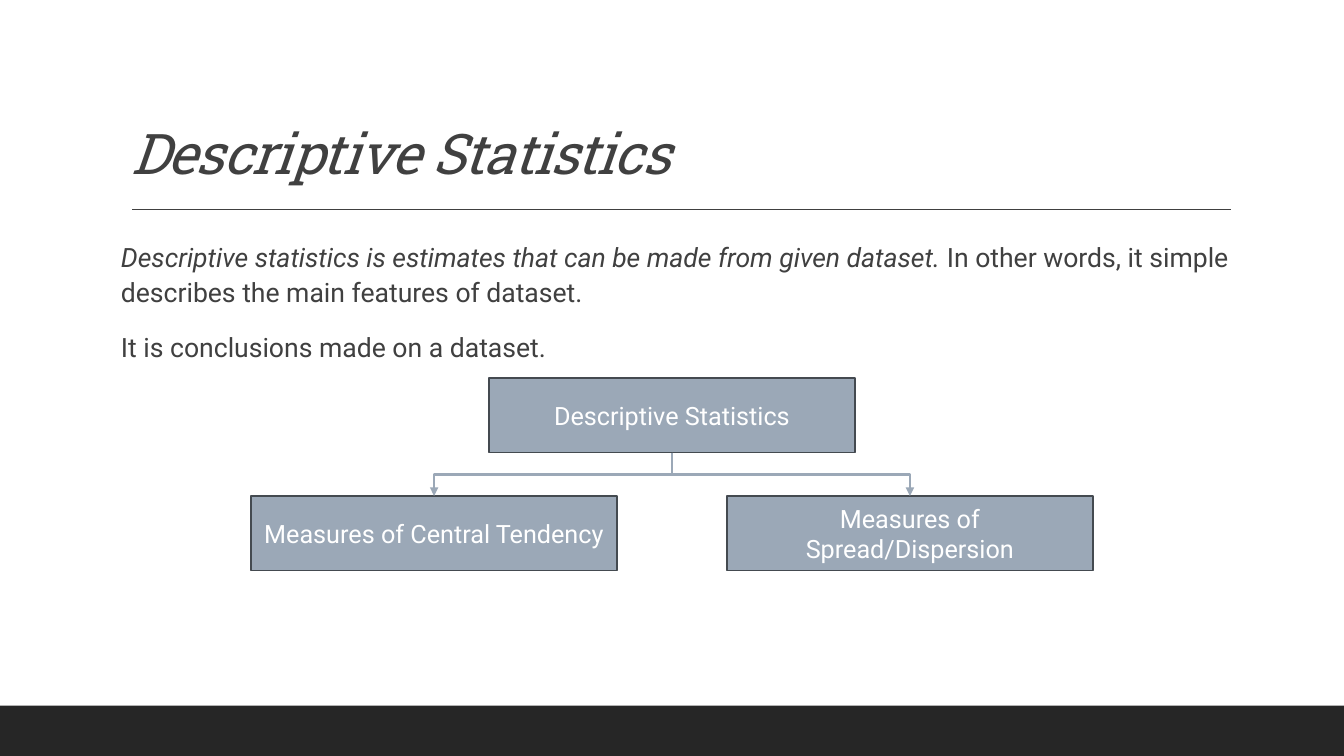
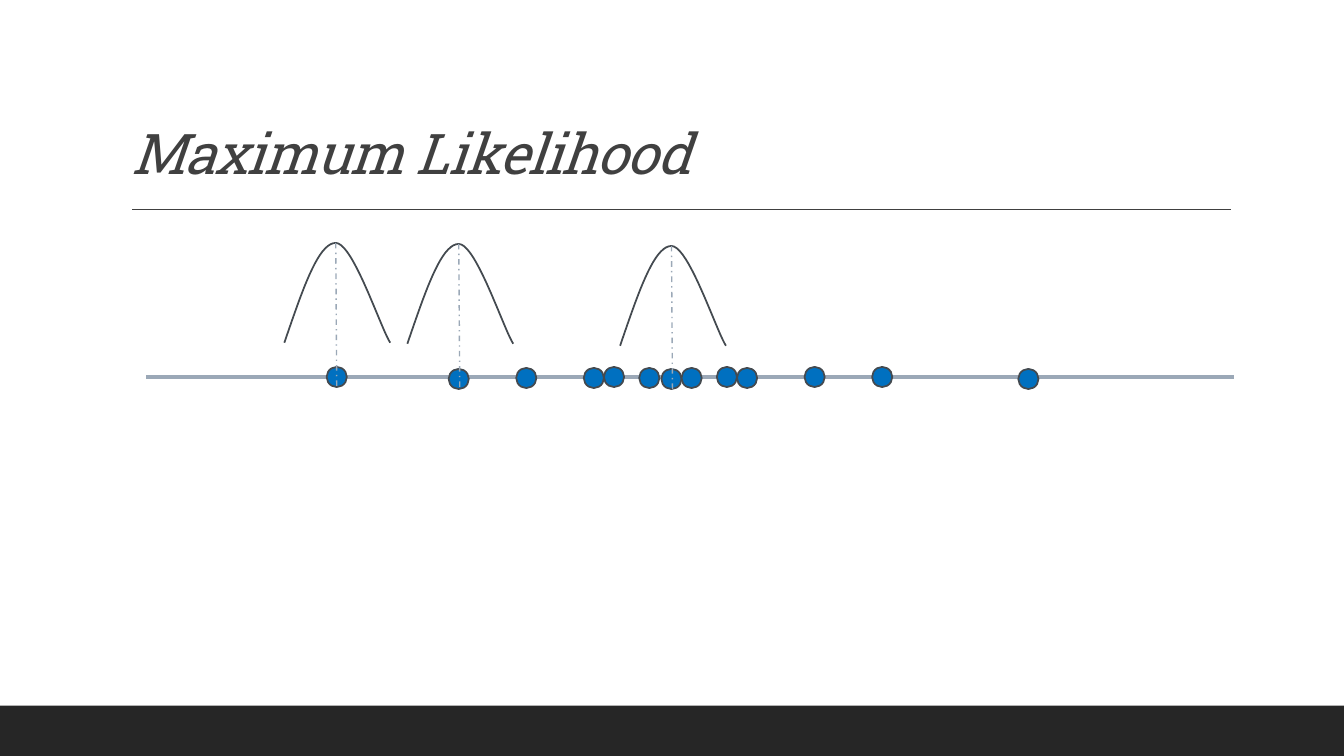
from pptx import Presentation
from pptx.dml.color import RGBColor
from pptx.enum.dml import MSO_LINE
from pptx.enum.shapes import MSO_CONNECTOR, MSO_SHAPE
from pptx.enum.text import MSO_ANCHOR, MSO_AUTO_SIZE, PP_ALIGN
from pptx.oxml.ns import qn
from pptx.util import Inches, Pt
from lxml.etree import SubElement

BAND = RGBColor(0x26, 0x26, 0x26)
DARK = RGBColor(0x40, 0x40, 0x40)
STEEL = RGBColor(0x9B, 0xA8, 0xB7)
OUTLINE = RGBColor(0x44, 0x4A, 0x50)
BLUE = RGBColor(0x00, 0x70, 0xC0)
WHITE = RGBColor(0xFF, 0xFF, 0xFF)
TITLE_FONT, BODY_FONT = "Roboto Slab", "Roboto"
WIDTH, HEIGHT = 13.33, 7.5

PARAGRAPHS = [
    [("Descriptive statistics is estimates that can be made from given dataset. ", True),
     ("In other words, it simple describes the main features of dataset.", False)],
    [("It is conclusions made on a dataset.", False)],
]
ROOT = "Descriptive Statistics"
BRANCHES = ["Measures of Central Tendency", "Measures of Spread/Dispersion"]
BOX_WIDTH, BOX_HEIGHT = 3.63, 0.74
ROOT_TOP, BRANCH_TOP, BRANCH_STEP = 3.75, 4.92, 4.72

DOT_SIZE = 0.2
DOTS = [(6.56, 3.66), (6.76, 3.65), (6.34, 3.65), (7.11, 3.64), (7.31, 3.65),
        (5.79, 3.65), (5.99, 3.64), (7.98, 3.64), (5.12, 3.65), (4.45, 3.66),
        (8.65, 3.64), (3.24, 3.64), (10.1, 3.66)]
CURVES = [(2.82, 2.41), (4.04, 2.42), (6.15, 2.44)]
BELL = [[(0, 0.99), (0.17, 0.5), (0.33, 0), (0.51, 0)],
        [(0.51, 0), (0.68, 0), (0.95, 0.83), (1.05, 0.99)]]
BELL_STEPS = 20
PEAK, MEAN_LENGTH = 0.51, 1.44


def place(shape, left, top, width, height):
    shape.left, shape.top = Inches(left), Inches(top)
    shape.width, shape.height = Inches(width), Inches(height)


def style_span(span, font, size, color, italic=False):
    span.font.name, span.font.size = font, Pt(size)
    span.font.color.rgb, span.font.italic = color, italic


def add_filled(page, kind, left, top, width, height, fill, line=None):
    shape = page.shapes.add_shape(kind, Inches(left), Inches(top), Inches(width), Inches(height))
    shape.shadow.inherit = False
    shape.fill.solid()
    shape.fill.fore_color.rgb = fill
    if line is None:
        shape.line.fill.background()
    else:
        shape.line.color.rgb, shape.line.width = line, Pt(1.25)
    return shape


def add_line(page, start, end, color, width, kind=MSO_CONNECTOR.STRAIGHT):
    line = page.shapes.add_connector(kind, *(Inches(value) for value in (*start, *end)))
    line.line.color.rgb, line.line.width = color, Pt(width)
    SubElement(line.element.spPr, qn("a:effectLst"))
    return line


def add_page(deck, layout, title):
    page = deck.slides.add_slide(deck.slide_layouts[layout])
    frame = page.shapes.title.text_frame
    frame.text = title
    frame.vertical_anchor = MSO_ANCHOR.BOTTOM
    frame.auto_size = MSO_AUTO_SIZE.NONE
    para = frame.paragraphs[0]
    para.alignment, para.line_spacing = PP_ALIGN.LEFT, 0.9
    span = para.runs[0]
    style_span(span, TITLE_FONT, 40, DARK, True)
    span.font._element.set("spc", "-50")
    return page


def move_to_master(deck, page):
    band = add_filled(page, MSO_SHAPE.RECTANGLE, 0, 7, WIDTH, 0.5, BAND)
    rule = add_line(page, (1.31, 2.08), (12.21, 2.08), DARK, 1)
    for shape in (band, rule):
        deck.slide_master.shapes.element.append(shape.element)


def fill_body(body):
    place(body, 1.2, 2.31, 11, 1.44)
    frame = body.text_frame
    frame.auto_size = MSO_AUTO_SIZE.NONE
    frame.margin_left = frame.margin_right = 0
    for index, spans in enumerate(PARAGRAPHS):
        para = frame.add_paragraph() if index else frame.paragraphs[0]
        para.line_spacing, para.space_before, para.space_after = 1.1, Pt(12), Pt(2)
        properties = para._p.get_or_add_pPr()
        properties.set("marL", "0")
        properties.set("indent", "0")
        SubElement(properties, qn("a:buNone"))
        for text, italic in spans:
            span = para.add_run()
            span.text = text
            style_span(span, BODY_FONT, 19, DARK, italic)


def add_box(page, text, center, top):
    box = add_filled(page, MSO_SHAPE.RECTANGLE, center - BOX_WIDTH / 2, top,
                     BOX_WIDTH, BOX_HEIGHT, STEEL, OUTLINE)
    frame = box.text_frame
    frame.text = text
    frame.word_wrap, frame.vertical_anchor = True, MSO_ANCHOR.MIDDLE
    frame.paragraphs[0].alignment = PP_ALIGN.CENTER
    style_span(frame.paragraphs[0].runs[0], BODY_FONT, 18, WHITE)


def add_branch_arrow(page, root, branch):
    top = ROOT_TOP + BOX_HEIGHT
    middle_x, middle_y = (root + branch) / 2, (top + BRANCH_TOP) / 2
    half_drop, half_span = (BRANCH_TOP - top) / 2, abs(branch - root) / 2
    side = -1 if branch < root else 1
    arrow = add_line(page, (middle_x + side * half_drop, middle_y - half_span),
                     (middle_x - side * half_drop, middle_y + half_span),
                     STEEL, 2, MSO_CONNECTOR.ELBOW)
    turn = 90 if side < 0 else 270
    arrow.element.spPr.find(qn("a:xfrm")).set("rot", str(turn * 60000))
    SubElement(arrow.line._get_or_add_ln(), qn("a:tailEnd"), type="triangle")


def add_tree(page):
    root = WIDTH / 2
    add_box(page, ROOT, root, ROOT_TOP)
    for index, text in enumerate(BRANCHES):
        center = root + (index - (len(BRANCHES) - 1) / 2) * BRANCH_STEP
        add_box(page, text, center, BRANCH_TOP)
        add_branch_arrow(page, root, center)


def bezier_point(controls, t):
    weights = ((1 - t) ** 3, 3 * t * (1 - t) ** 2, 3 * t ** 2 * (1 - t), t ** 3)
    return tuple(sum(w * point[axis] for w, point in zip(weights, controls)) for axis in (0, 1))


def add_bell(page, left, top):
    points = [BELL[0][0]] + [bezier_point(controls, step / BELL_STEPS)
                             for controls in BELL for step in range(1, BELL_STEPS + 1)]
    points = [(Inches(left + x), Inches(top + y)) for x, y in points]
    builder = page.shapes.build_freeform(*points[0])
    builder.add_line_segments(points[1:], close=False)
    bell = builder.convert_to_shape()
    bell.shadow.inherit = False
    bell.fill.background()
    bell.line.color.rgb, bell.line.width = OUTLINE, Pt(1.25)
    peak = left + PEAK
    mean = add_line(page, (peak, top), (peak + 0.01, top + MEAN_LENGTH), STEEL, 1)
    mean.line.dash_style = MSO_LINE.DASH_DOT


def main():
    deck = Presentation()
    deck.slide_width, deck.slide_height = Inches(WIDTH), Inches(HEIGHT)
    place(deck.slide_master.placeholders[0], 1.2, 0.31, 11, 1.59)

    summary = add_page(deck, 1, "Descriptive Statistics")
    move_to_master(deck, summary)
    fill_body(summary.placeholders[1])
    add_tree(summary)

    likelihood = add_page(deck, 5, "Maximum Likelihood")
    add_line(likelihood, (1.45, 3.74), (12.24, 3.74), STEEL, 3.25)
    for left, top in DOTS:
        add_filled(likelihood, MSO_SHAPE.FLOWCHART_CONNECTOR, left, top,
                   DOT_SIZE, DOT_SIZE, BLUE, OUTLINE)
    for left, top in CURVES:
        add_bell(likelihood, left, top)

    deck.save("out.pptx")


if __name__ == "__main__":
    main()
